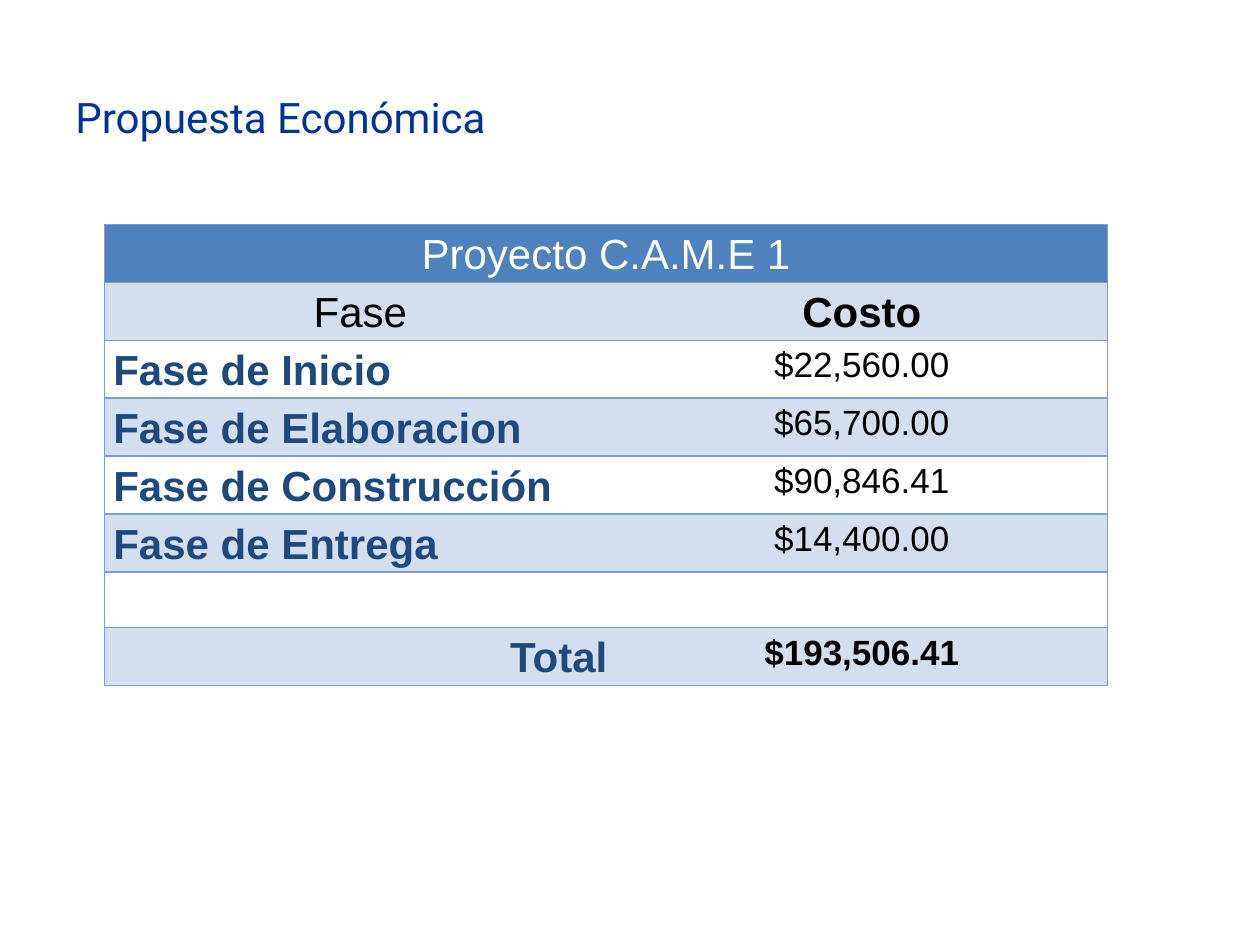
from lxml.etree import SubElement
from pptx import Presentation
from pptx.dml.color import RGBColor
from pptx.enum.text import MSO_ANCHOR, PP_ALIGN
from pptx.oxml.ns import qn
from pptx.util import Inches, Pt

COLORS = {
    "title": "003399", "header": "4F81BD", "band": "D3DFEE", "border": "7BA0CD",
    "phase": "1F497D", "black": "000000", "white": "FFFFFF",
}
TITLE = "Propuesta Económica"
PROJECT = "Proyecto C.A.M.E 1"
HEADINGS = ("Fase", "Costo")
PHASES = [
    ("Fase de Inicio", "$22,560.00"),
    ("Fase de Elaboracion", "$65,700.00"),
    ("Fase de Construcción", "$90,846.41"),
    ("Fase de Entrega", "$14,400.00"),
]
TOTAL = ("Total", "$193,506.41")
COLUMN_WIDTHS = (4.06, 3.9)
ROW_HEIGHT = 0.44


def add_run(paragraph, text, size, color, font="Arial", bold=False):
    run = paragraph.add_run()
    run.text = text
    run.font.name = font
    run.font.size = Pt(size)
    run.font.bold = bold
    run.font.color.rgb = RGBColor.from_string(COLORS[color])


def set_borders(cell, sides):
    """Draw the given sides (L, R, T, B) and leave the others without a line."""
    properties = cell._tc.get_or_add_tcPr()
    for position, side in enumerate("LRTB"):
        line = SubElement(properties, qn(f"a:ln{side}"), w=str(Pt(1)))
        if side in sides:
            fill = SubElement(line, qn("a:solidFill"))
            SubElement(fill, qn("a:srgbClr"), val=COLORS["border"])
        else:
            SubElement(line, qn("a:noFill"))
        properties.insert(position, line)


def style_cell(cell, fill, sides):
    cell.margin_left = cell.margin_right = Inches(0.07)
    cell.margin_top = cell.margin_bottom = 0
    if fill:
        cell.fill.solid()
        cell.fill.fore_color.rgb = RGBColor.from_string(COLORS[fill])
    else:
        cell.fill.background()
    set_borders(cell, sides)


def write_cell(cell, text, size, color, bold=False, align=PP_ALIGN.CENTER):
    paragraph = cell.text_frame.paragraphs[0]
    paragraph.alignment = align
    paragraph.line_spacing = 1.15
    add_run(paragraph, text, size, color, bold=bold)


presentation = Presentation()
presentation.slide_width, presentation.slide_height = Inches(10), Inches(7.5)
slide = presentation.slides.add_slide(presentation.slide_layouts[6])

# Title
title = slide.shapes.add_textbox(Inches(0.5), Inches(0.3), Inches(8.2), Inches(1.25))
title.text_frame.word_wrap = True
title.text_frame.vertical_anchor = MSO_ANCHOR.MIDDLE
add_run(title.text_frame.paragraphs[0], TITLE, 24, "title", font="Roboto")

# Table grid: project, headings, phases, an empty row and the total
row_count = len(PHASES) + 4
table = slide.shapes.add_table(
    row_count, 2, Inches(0.83), Inches(1.78),
    Inches(sum(COLUMN_WIDTHS)), Inches(ROW_HEIGHT * row_count)).table
table.first_row = table.horz_banding = False
for column, width in zip(table.columns, COLUMN_WIDTHS):
    column.width = Inches(width)
for index, row in enumerate(table.rows):
    row.height = Inches(ROW_HEIGHT)
    fill = "header" if index == 0 else "band" if index % 2 else None
    for cell, sides in zip(row.cells, ("LTB", "RTB")):
        style_cell(cell, fill, "LRTB" if index == 0 else sides)
table.cell(0, 0).merge(table.cell(0, 1))

# Table text
write_cell(table.cell(0, 0), PROJECT, 24, "white")
for column, heading in enumerate(HEADINGS):
    write_cell(table.cell(1, column), heading, 24, "black", bold=column == 1)
for index, (phase, cost) in enumerate(PHASES, start=2):
    write_cell(table.cell(index, 0), phase, 24, "phase", bold=True, align=PP_ALIGN.LEFT)
    write_cell(table.cell(index, 1), cost, 20, "black")
label, amount = TOTAL
write_cell(table.cell(row_count - 1, 0), label, 24, "phase", bold=True, align=PP_ALIGN.RIGHT)
write_cell(table.cell(row_count - 1, 1), amount, 20, "black", bold=True)

presentation.save("out.pptx")
